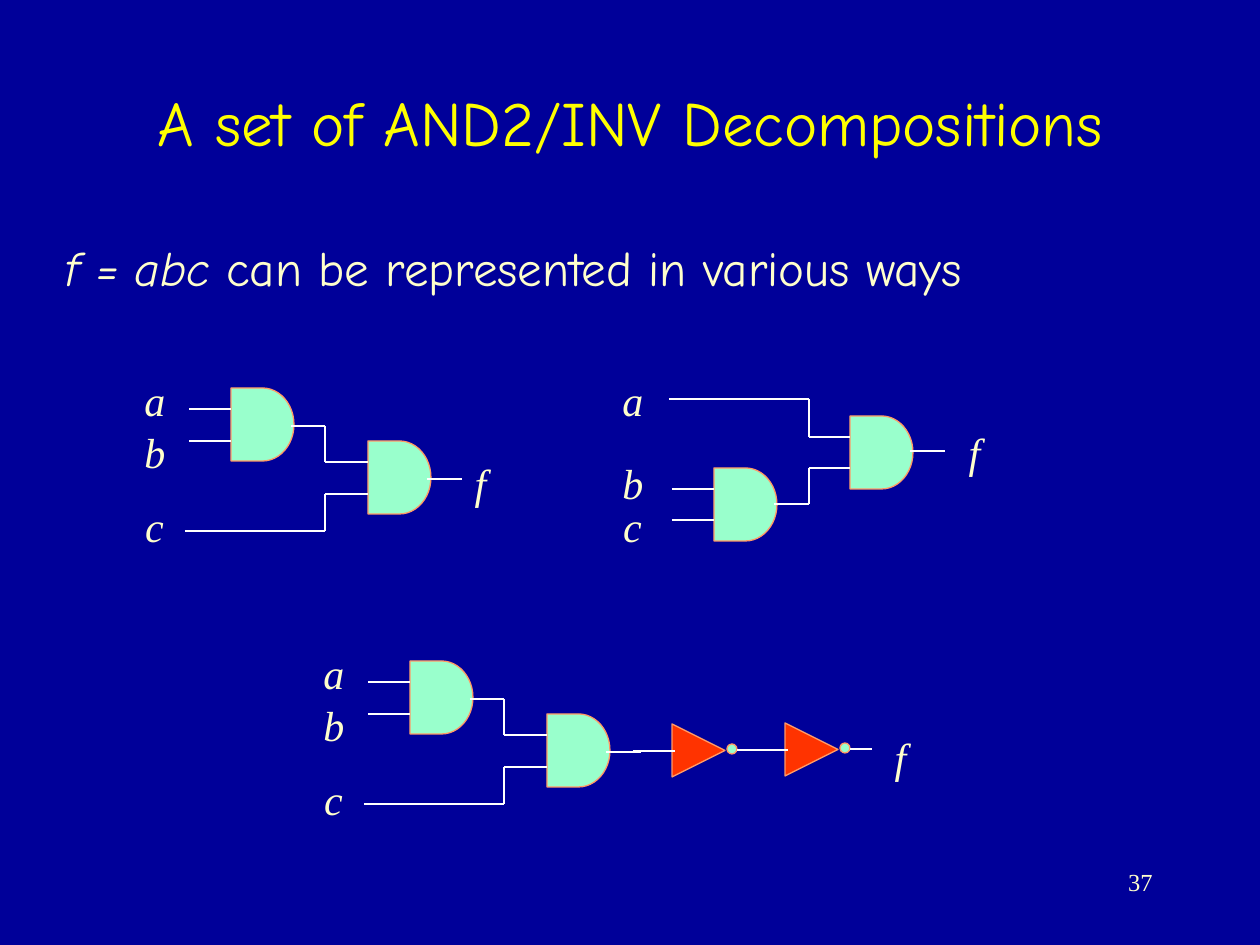
import pptx
import pptx.dml.color
import pptx.enum.shapes
import pptx.enum.text
import pptx.util
from pptx.oxml.ns import qn

PX = 914400 / 126
SHAPES = pptx.enum.shapes.MSO_SHAPE
ALIGN = pptx.enum.text.PP_ALIGN
ANCHOR = pptx.enum.text.MSO_ANCHOR
MINT, RED, ORANGE = "99FFCC", "FF3300", "FF9966"
CREAM, YELLOW, WHITE, NAVY = "FFFFCC", "FFFF00", "FFFFFF", "000099"
SERIF, COMIC = "Times New Roman", "Comic Neue"


def px(*lengths):
    return [pptx.util.Emu(round(length * PX)) for length in lengths]


def paint(color_format, color):
    color_format.rgb = pptx.dml.color.RGBColor.from_string(color)


def add_text(slide, box, text, size, font, color, align=ALIGN.LEFT, anchor=ANCHOR.TOP):
    frame = slide.shapes.add_textbox(*px(*box)).text_frame
    frame.word_wrap = True
    frame.vertical_anchor = anchor
    paragraph = frame.paragraphs[0]
    paragraph.text = text
    paragraph.alignment = align
    paragraph.font.size = pptx.util.Pt(size)
    paragraph.font.name = font
    paint(paragraph.font.color, color)
    return paragraph, frame


def add_signal(slide, name, left, top):
    width = 37 if name == "f" else 45
    paragraph, frame = add_text(slide, (left, top, width, 63), name, 24, SERIF, CREAM,
                                ALIGN.CENTER, ANCHOR.MIDDLE)
    frame.word_wrap = False
    frame.auto_size = pptx.enum.text.MSO_AUTO_SIZE.SHAPE_TO_FIT_TEXT
    paragraph.font.italic = True


def add_symbol(slide, kind, box, color):
    symbol = slide.shapes.add_shape(kind, *px(*box))
    symbol.shadow.inherit = False
    symbol.fill.solid()
    paint(symbol.fill.fore_color, color)
    paint(symbol.line.color, ORANGE)
    symbol.line.width = pptx.util.Pt(0.75)
    return symbol


def add_wire(slide, left, top, *points):
    for (x1, y1), (x2, y2) in zip(points, points[1:]):
        wire = slide.shapes.add_connector(
            pptx.enum.shapes.MSO_CONNECTOR.STRAIGHT,
            *px(left + x1, top + y1, left + x2, top + y2))
        paint(wire.line.color, WHITE)
        wire.line.width = pptx.util.Pt(0.75)
        properties = wire._element.spPr
        properties.append(properties.makeelement(qn("a:effectLst"), {}))


def add_and_gate(slide, left, top):
    add_symbol(slide, SHAPES.FLOWCHART_DELAY, (left, top, 63, 73), MINT)


def add_inverter(slide, left, top):
    triangle = add_symbol(slide, SHAPES.ISOSCELES_TRIANGLE, (left, top, 53, 53), RED)
    triangle.rotation = 90
    add_wire(slide, left, top, (-39, 27), (3, 27))
    add_symbol(slide, SHAPES.OVAL, (left + 55, top + 20, 10, 10), MINT)
    add_wire(slide, left, top, (65, 26), (87, 26))


def add_left_grouped_circuit(slide, left, top):
    add_and_gate(slide, left + 99, top + 20)
    add_and_gate(slide, left + 236, top + 73)
    for y in (41, 73):
        add_wire(slide, left, top, (57, y), (99, y))
    add_wire(slide, left, top, (159, 58), (193, 58), (193, 94), (236, 94))
    add_wire(slide, left, top, (53, 163), (193, 163), (193, 126), (236, 126))
    add_wire(slide, left, top, (295, 111), (330, 111))
    for name, y in (("a", 0), ("b", 52), ("c", 126)):
        add_signal(slide, name, left, top + y)


def add_right_grouped_circuit(slide, left, top):
    add_and_gate(slide, left + 104, top + 100)
    add_and_gate(slide, left + 240, top + 48)
    for y in (121, 152):
        add_wire(slide, left, top, (62, y), (104, y))
    add_wire(slide, left, top, (59, 31), (199, 31), (199, 69), (240, 69))
    add_wire(slide, left, top, (164, 136), (199, 136), (199, 100), (240, 100))
    add_wire(slide, left, top, (300, 83), (335, 83))
    for name, y in (("a", 0), ("b", 83), ("c", 126)):
        add_signal(slide, name, left, top + y)
    add_signal(slide, "f", left + 346, top + 52)


def add_double_inverted_circuit(slide, left, top):
    add_left_grouped_circuit(slide, left, top)
    add_inverter(slide, left + 361, top + 83)
    add_inverter(slide, left + 474, top + 82)
    add_signal(slide, "f", left + 571, top + 84)


def add_headings(slide, left, top):
    add_text(slide, (left, top, 1197, 158), "A set of AND2/INV Decompositions",
             36, COMIC, YELLOW, ALIGN.CENTER, ANCHOR.MIDDLE)
    statement, _ = add_text(slide, (left + 21, top + 189, 1155, 116), "f = abc",
                            28, COMIC, CREAM)
    statement.space_before = pptx.util.Pt(7)
    statement.runs[0].font.italic = True
    statement.add_run().text = " can be represented in various ways"


def main():
    deck = pptx.Presentation()
    deck.slide_width, deck.slide_height = px(1260, 945)
    slide = deck.slides.add_slide(deck.slide_layouts[6])
    slide.background.fill.solid()
    paint(slide.background.fill.fore_color, NAVY)

    add_headings(slide, 32, 42)
    add_left_grouped_circuit(slide, 132, 368)
    add_signal(slide, "f", 462, 451)
    add_right_grouped_circuit(slide, 610, 368)
    add_double_inverted_circuit(slide, 311, 641)
    add_text(slide, (903, 861, 262, 63), "37", 14, SERIF, CREAM, ALIGN.RIGHT)
    deck.save("out.pptx")


if __name__ == "__main__":
    main()
